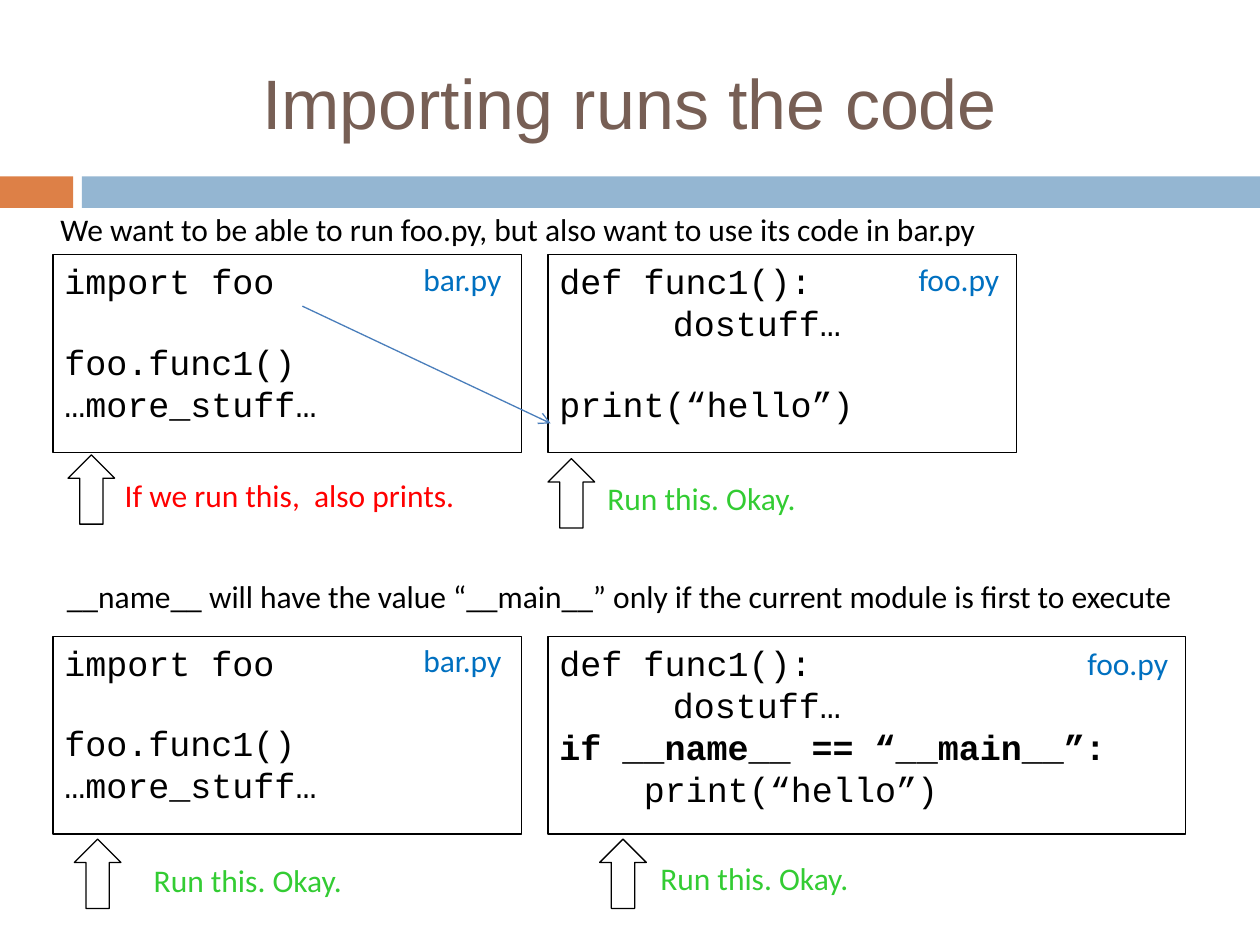
from lxml import etree
from pptx import Presentation
from pptx.dml.color import RGBColor
from pptx.enum.shapes import MSO_CONNECTOR, MSO_SHAPE
from pptx.enum.text import MSO_ANCHOR, PP_ALIGN
from pptx.oxml.ns import qn
from pptx.util import Inches, Pt

RECT, UP = MSO_SHAPE.RECTANGLE, MSO_SHAPE.UP_ARROW
LEFT, CENTER = PP_ALIGN.LEFT, PP_ALIGN.CENTER
TOP, MIDDLE = MSO_ANCHOR.TOP, MSO_ANCHOR.MIDDLE
STRAIGHT = MSO_CONNECTOR.STRAIGHT

BLACK, RED, GREEN, BLUE = "000000", "FF0000", "33CC33", "0070C0"
COL_A, COL_B = 0.42, 4.35      # left edges of the code columns
ROW_A, ROW_B = 2.02, 5.05      # top edges of the code rows
BOX_W, WIDE_W, BOX_H = 3.72, 5.06, 1.57
TAG_W = 0.87

# Code lines: text, indent in inches, gap before in points, bold
BAR = [("import foo", 0, 0, False),
       ("foo.func1()", 0, 22, False),
       ("…more_stuff…", 0, 0, False)]
FUNC = [("def func1():", 0, 0, False), ("dostuff…", 0.9, 0, False)]
FOO = FUNC + [("print(“hello”)", 0, 22, False)]
GUARD = FUNC + [("if __name__ == “__main__”:", 0, 0, True),
                ("print(“hello”)", 0.67, 0, False)]


def color(code):
    return RGBColor.from_string(code)


def style(par, face, size, code, bold=False):
    font = par.font
    font.name, font.size, font.bold = face, Pt(size), bold
    font.color.rgb = color(code)


def frame(shape):
    """Set the margins and wrapping shared by all texts."""
    text = shape.text_frame
    text.word_wrap = True
    text.vertical_anchor = TOP
    text.margin_left = text.margin_right = Inches(0.09)
    text.margin_top = text.margin_bottom = Inches(0.04)
    return text


def block(slide, kind, x, y, w, h, fill=None, line=None):
    shape = slide.shapes.add_shape(kind, *map(Inches, (x, y, w, h)))
    shape.shadow.inherit = False
    if fill:
        shape.fill.solid()
        shape.fill.fore_color.rgb = color(fill)
    else:
        shape.fill.background()
    if line:
        shape.line.color.rgb = color(line)
        shape.line.width = Pt(0.75)
    else:
        shape.line.fill.background()
    return shape


def label(slide, text, x, y, w, code=BLACK, h=0.4):
    box = slide.shapes.add_textbox(*map(Inches, (x, y, w, h)))
    par = frame(box).paragraphs[0]
    par.text = text
    style(par, "Calibri", 18, code)


def code_box(slide, lines, x, y, w, tag, drop=0):
    """Draw a listing with its file name in the top right corner."""
    text = frame(block(slide, RECT, x, y, w, BOX_H, line=BLACK))
    for i, (line, indent, gap, bold) in enumerate(lines):
        par = text.paragraphs[0] if i == 0 else text.add_paragraph()
        par.text = line
        par.alignment = LEFT
        par.space_before = Pt(gap)
        style(par, "Courier New", 20, BLACK, bold)
        if indent:
            par._p.get_or_add_pPr().set("marL", str(Inches(indent)))
    label(slide, tag, x + w - TAG_W, y + drop, TAG_W, BLUE)


def verdict(slide, text, arrow, place, w, code=GREEN):
    """Draw an up arrow and the remark beside it."""
    block(slide, UP, *arrow, 0.37, 0.55, line=BLACK)
    label(slide, text, *place, w, code)


def link(slide, start, end):
    ends = map(Inches, (*start, *end))
    line = slide.shapes.add_connector(STRAIGHT, *ends)
    line.line.color.rgb = color("4A7EBB")
    line.line.width = Pt(0.75)
    tail = etree.SubElement(line.line._get_or_add_ln(), qn("a:tailEnd"))
    tail.set("type", "arrow")
    etree.SubElement(line._element.spPr, qn("a:effectLst"))


def heading(slide, text):
    title = slide.shapes.title
    title.left, title.top = Inches(0.35), Inches(0.46)
    title.width, title.height = Inches(9.29), Inches(0.69)
    title.text_frame.text = text
    title.text_frame.vertical_anchor = MIDDLE
    par = title.text_frame.paragraphs[0]
    par.alignment = CENTER
    style(par, "Arial", 40, "775F55")


def main():
    deck = Presentation()
    deck.slide_width, deck.slide_height = Inches(10), Inches(7.5)
    slide = deck.slides.add_slide(deck.slide_layouts[5])

    # Title and band
    block(slide, RECT, 0, 1.4, 0.58, 0.25, fill="DD8047")
    block(slide, RECT, 0.65, 1.4, 9.35, 0.25, fill="94B6D2")
    heading(slide, "Importing runs the code")

    # Plain import
    label(slide, "We want to be able to run foo.py, but also want to use "
          "its code in bar.py", 0.39, 1.63, 9.36)
    code_box(slide, BAR, COL_A, ROW_A, BOX_W, "bar.py")
    code_box(slide, FOO, COL_B, ROW_A, BOX_W, "foo.py")
    link(slide, (2.4, 2.43), (4.37, 3.36))
    verdict(slide, "If we run this,  also prints.",
            (0.54, 3.61), (0.9, 3.74), 2.9, RED)
    verdict(slide, "Run this. Okay.", (4.35, 3.64), (4.73, 3.76), 2.68)

    # Guarded import
    label(slide, "__name__ will have the value “__main__” only if the "
          "current module is first to execute", 0.44, 4.54, 9.36)
    code_box(slide, BAR, COL_A, ROW_B, BOX_W, "bar.py")
    code_box(slide, GUARD, COL_B, ROW_B, WIDE_W, "foo.py", 0.02)
    verdict(slide, "Run this. Okay.", (0.59, 6.66), (1.13, 6.79), 2.29)
    verdict(slide, "Run this. Okay.", (4.76, 6.66), (5.15, 6.78), 2.68)

    deck.save("out.pptx")


main()
